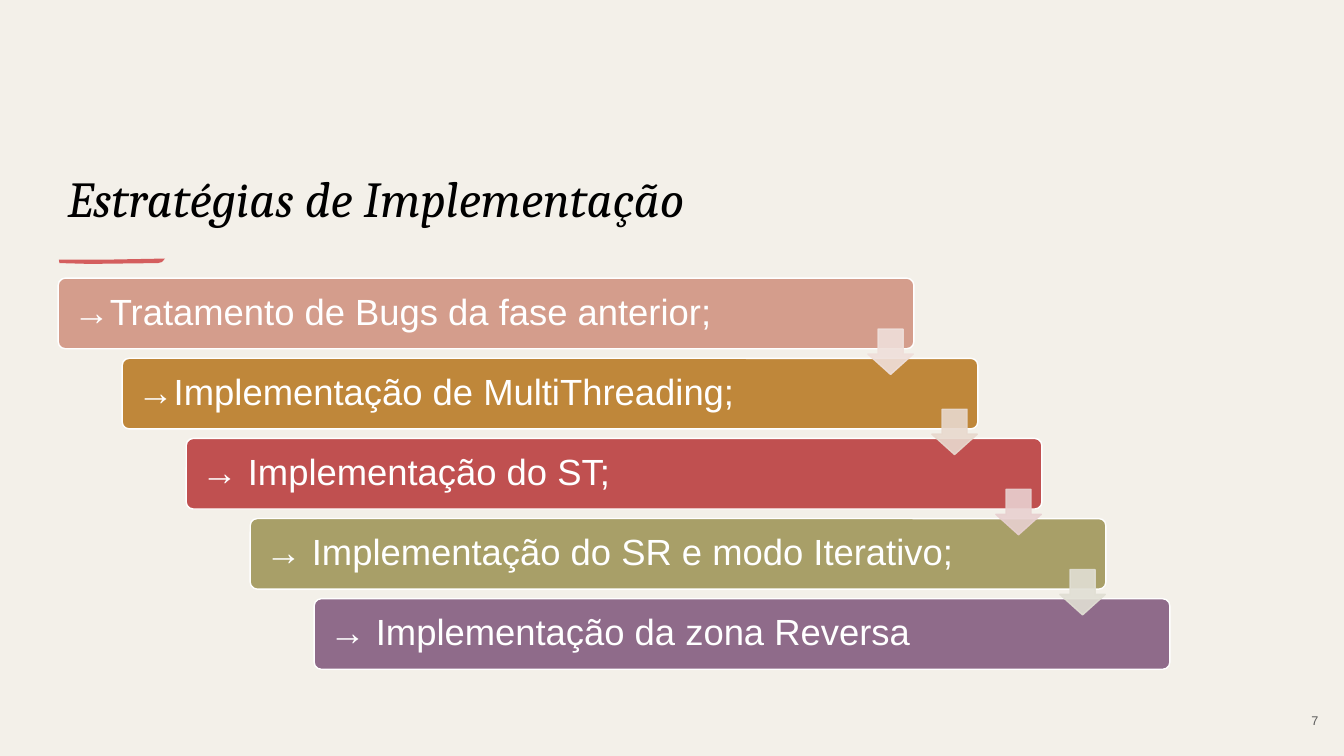
from dataclasses import dataclass

from lxml import etree
from pptx import Presentation
from pptx import util as u
from pptx.dml.color import RGBColor
from pptx.enum import shapes, text
from pptx.oxml.ns import qn


@dataclass(frozen=True)
class Theme:
    background: str = "F3F0E9"
    ink: str = "000000"
    light: str = "FFFFFF"
    muted: str = "595959"
    accent: str = "D45E5E"
    steps: tuple = ("D49D8C", "BF873A", "C05050", "A89F68", "8F6B8A")
    arrows: tuple = ("EFDFDA", "E8D9CE", "E8D0D0", "E1DFD4")
    title_font: str = "Cambria"
    body_font: str = "Arial"
    title_size: int = 36
    step_size: int = 26
    number_size: int = 9


class Deck:
    columns, rows = 21, 75

    def __init__(self, theme):
        self.theme = theme
        self.presentation = Presentation()
        self.presentation.slide_width = u.Inches(13.33)
        self.presentation.slide_height = u.Inches(7.5)
        self.slide = self.presentation.slides.add_slide(self.presentation.slide_layouts[6])
        fill = self.slide.background.fill
        fill.solid()
        fill.fore_color.rgb = RGBColor.from_string(theme.background)

    def x(self, columns):
        return round(self.presentation.slide_width * columns / self.columns)

    def y(self, rows):
        return round(self.presentation.slide_height * rows / self.rows)

    def place(self, left, top, width, height):
        return self.x(left), self.y(top), self.x(width), self.y(height)

    def paint(self, shape, fill, line=None, opacity=100):
        shape.shadow.inherit = False
        shape.fill.solid()
        shape.fill.fore_color.rgb = RGBColor.from_string(fill)
        if line:
            shape.line.color.rgb = RGBColor.from_string(line)
            shape.line.width = u.Pt(1)
        else:
            shape.line.fill.background()
        if opacity < 100:
            for color in shape._element.spPr.iter(qn("a:srgbClr")):
                etree.SubElement(color, qn("a:alpha"), val=str(opacity * 1000))

    def label(self, shape, words, font, size, color, anchor, align=text.PP_ALIGN.LEFT):
        frame = shape.text_frame
        frame.word_wrap = True
        frame.vertical_anchor = anchor
        paragraph = frame.paragraphs[0]
        paragraph.text = words
        paragraph.alignment = align
        paragraph.font.name = font
        paragraph.font.size = u.Pt(size)
        paragraph.font.color.rgb = RGBColor.from_string(color)
        return paragraph

    def title(self, words, *box):
        shape = self.slide.shapes.add_textbox(*self.place(*box))
        paragraph = self.label(shape, words, self.theme.title_font, self.theme.title_size,
                               self.theme.ink, text.MSO_ANCHOR.BOTTOM)
        paragraph.font.italic = True

    def brush_stroke(self, points):
        corners = [(self.x(column), self.y(row)) for column, row in points]
        builder = self.slide.shapes.build_freeform(*corners[0])
        builder.add_line_segments(corners[1:], close=True)
        self.paint(builder.convert_to_shape(), self.theme.accent)

    def step(self, words, fill, *box):
        shape = self.slide.shapes.add_shape(
            shapes.MSO_SHAPE.ROUNDED_RECTANGLE, *self.place(*box))
        shape.adjustments[0] = 0.1
        self.paint(shape, fill, self.theme.light)
        paragraph = self.label(shape, words, self.theme.body_font, self.theme.step_size,
                               self.theme.light, text.MSO_ANCHOR.MIDDLE)
        paragraph.line_spacing = 0.9
        shape.text_frame.margin_left = u.Inches(0.13)

    def arrow(self, fill, *box):
        shape = self.slide.shapes.add_shape(shapes.MSO_SHAPE.DOWN_ARROW, *self.place(*box))
        shape.adjustments[0] = 0.55
        shape.adjustments[1] = 0.45
        self.paint(shape, fill, fill, opacity=90)

    def page_number(self, words, *box):
        shape = self.slide.shapes.add_textbox(*self.place(*box))
        self.label(shape, words, self.theme.body_font, self.theme.number_size,
                   self.theme.muted, text.MSO_ANCHOR.MIDDLE, text.PP_ALIGN.CENTER)


def main():
    theme = Theme()
    deck = Deck(theme)
    deck.title("Estratégias de Implementação", 0.9, 8.6, 17.36, 14.5)
    deck.brush_stroke([(0.92, 25.75), (1.75, 25.75), (2.58, 25.65), (2.53, 26),
                       (2.47, 26.1), (1.4, 26.18), (0.93, 26.1)])
    steps = (
        "→Tratamento de Bugs da fase anterior;",
        "→Implementação de MultiThreading;",
        "→ Implementação do ST;",
        "→ Implementação do SR e modo Iterativo;",
        "→ Implementação da zona Reversa",
    )
    row_step = 7.95
    for index, (words, fill) in enumerate(zip(steps, theme.steps)):
        deck.step(words, fill, 0.91 + index, 27.6 + index * row_step, 13.37, 7)
    for index, fill in enumerate(theme.arrows):
        deck.arrow(fill, 13.56 + index, 32.65 + index * row_step, 0.71, 4.5)
    deck.page_number("7", 20.09, 69.5, 0.91, 4)
    deck.presentation.save("out.pptx")


if __name__ == "__main__":
    main()
